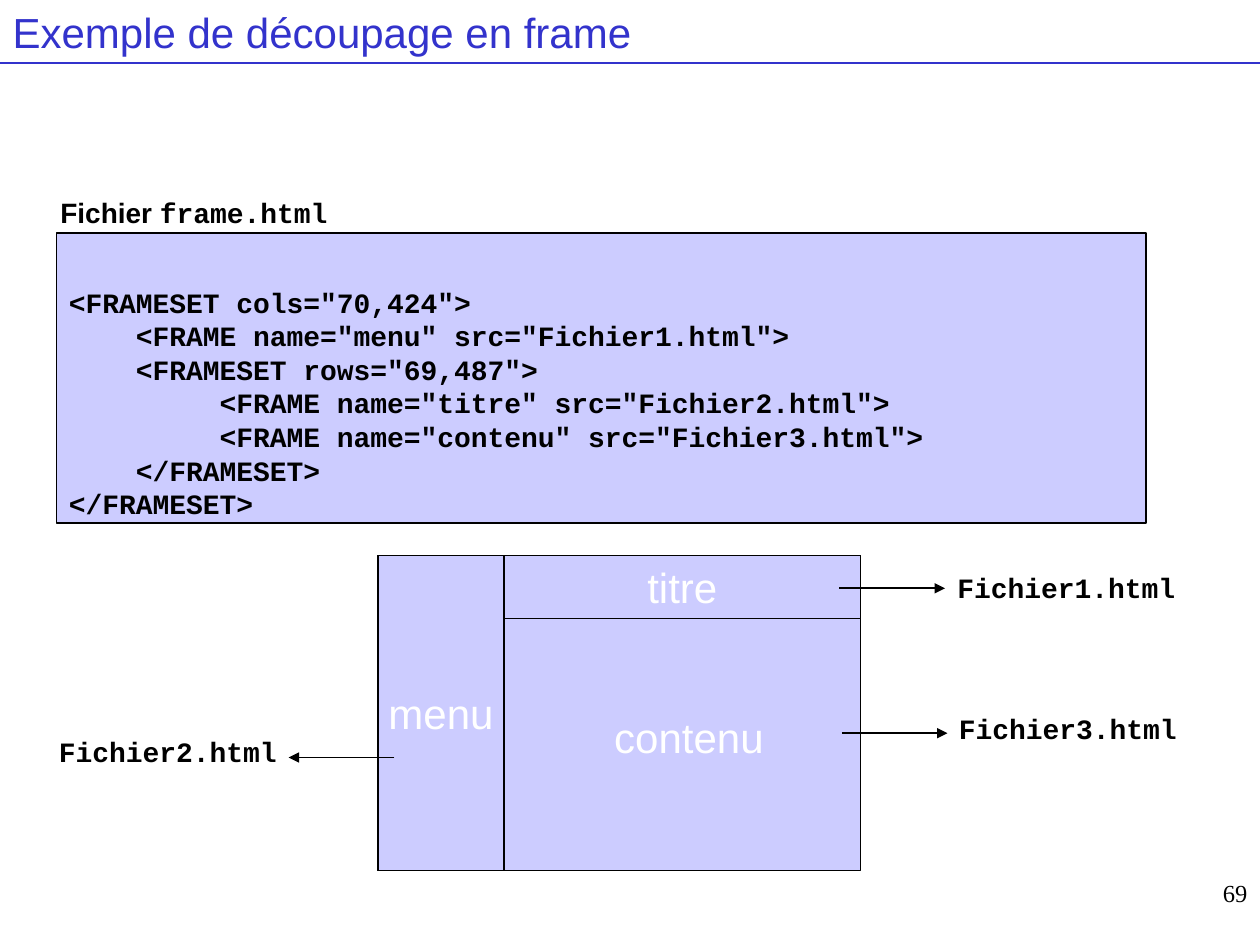
from dataclasses import dataclass
from typing import Optional

import pptx
import pptx.dml.color
import pptx.enum.shapes
import pptx.enum.text
import pptx.oxml
import pptx.oxml.ns
import pptx.util

Cm = pptx.util.Cm
Align = pptx.enum.text.PP_ALIGN
Anchor = pptx.enum.text.MSO_ANCHOR


@dataclass(frozen=True)
class Theme:
    title: str = "3333CC"
    panel: str = "CCCCFF"
    ink: str = "000000"
    frame_text: str = "FFFFFF"
    sans: str = "Arial"
    mono: str = "Courier New"
    serif: str = "Times New Roman"
    large: int = 24
    normal: int = 16
    small: int = 14


THEME = Theme()


@dataclass(frozen=True)
class Area:
    left: float
    top: float
    width: float
    height: float

    def lengths(self) -> tuple:
        return Cm(self.left), Cm(self.top), Cm(self.width), Cm(self.height)


@dataclass(frozen=True)
class Frame:
    area: Area
    text: str = ""
    outlined: bool = True


@dataclass(frozen=True)
class FileLink:
    """A file name and the arrow that leads to it from its frame."""
    name: str
    label: Area
    arrow_start: float
    arrow_end: float
    arrow_y: float


SLIDE = Area(0, 0, 25.4, 19.05)
TITLE = Area(0, 0, SLIDE.width, 1.27)
PAGE_NUMBER = Area(20.12, 17.58, 5.28, 1.27)
CAPTION = Area(0.97, 3.81, 5.89, 0.94)
CODE = Area(1.14, 4.7, 21.97, 5.84)
CODE_LINES = [
    '<FRAMESET cols="70,424">',
    '    <FRAME name="menu" src="Fichier1.html">',
    '    <FRAMESET rows="69,487">',
    '         <FRAME name="titre" src="Fichier2.html">',
    '         <FRAME name="contenu" src="Fichier3.html">',
    '    </FRAMESET>',
    '</FRAMESET>',
]

WINDOW = Area(7.62, 11.2, 9.73, 6.35)
MENU_WIDTH = 2.54
TITLE_HEIGHT = 1.27
FRAMES = [
    Frame(WINDOW),
    Frame(Area(WINDOW.left, WINDOW.top, MENU_WIDTH, WINDOW.height), "menu"),
    Frame(Area(WINDOW.left + MENU_WIDTH, WINDOW.top,
               WINDOW.width - MENU_WIDTH, TITLE_HEIGHT), "titre"),
    Frame(Area(12.14, 14.22, 3.5, TITLE_HEIGHT), "contenu", outlined=False),
]
FILE_LINKS = [
    FileLink("Fichier1.html", Area(19.05, 11.38, 4.9, 0.94), 16.92, 19.05, 11.86),
    FileLink("Fichier3.html", Area(19.08, 14.22, 4.9, 0.94), 16.97, 19.1, 14.78),
    FileLink("Fichier2.html", Area(0.94, 14.68, 4.9, 0.94), 7.95, 5.82, 15.27),
]


def rgb(value: str) -> pptx.dml.color.RGBColor:
    return pptx.dml.color.RGBColor.from_string(value)


def set_font(font, name: str, size: int, color: str, bold: bool = False) -> None:
    font.name = name
    font.size = pptx.util.Pt(size)
    font.bold = bold
    font.color.rgb = rgb(color)


def add_panel(slide, area: Area, outlined: bool = True):
    panel = slide.shapes.add_shape(
        pptx.enum.shapes.MSO_SHAPE.RECTANGLE, *area.lengths())
    panel.shadow.inherit = False
    panel.fill.solid()
    panel.fill.fore_color.rgb = rgb(THEME.panel)
    if outlined:
        panel.line.color.rgb = rgb(THEME.ink)
        panel.line.width = pptx.util.Pt(1)
    else:
        panel.line.fill.background()
    return panel


def add_frame(slide, frame: Frame) -> None:
    panel = add_panel(slide, frame.area, frame.outlined)
    if frame.text:
        body = panel.text_frame
        body.word_wrap = False
        body.vertical_anchor = Anchor.MIDDLE
        para = body.paragraphs[0]
        para.text = frame.text
        para.alignment = Align.CENTER
        set_font(para.font, THEME.sans, THEME.large, THEME.frame_text)


def add_label(slide, area: Area, text: str, font: str, size: int,
              bold: bool = True, alignment=Align.LEFT):
    box = slide.shapes.add_textbox(*area.lengths())
    box.text_frame.word_wrap = False
    para = box.text_frame.paragraphs[0]
    para.text = text
    para.alignment = alignment
    set_font(para.font, font, size, THEME.ink, bold)
    return para


def add_line(slide, start: tuple[float, float], end: tuple[float, float],
             color: str, width: float, arrow: Optional[str] = None) -> None:
    line = slide.shapes.add_connector(
        pptx.enum.shapes.MSO_CONNECTOR.STRAIGHT,
        *(Cm(value) for value in (*start, *end)))
    line.line.color.rgb = rgb(color)
    line.line.width = pptx.util.Pt(width)
    properties = line._element.spPr
    if arrow:
        head = pptx.oxml.parse_xml(
            f'<a:tailEnd {pptx.oxml.ns.nsdecls("a")} type="{arrow}"/>')
        line.line._get_or_add_ln().append(head)
    properties.append(pptx.oxml.parse_xml(
        f'<a:effectLst {pptx.oxml.ns.nsdecls("a")}/>'))


def add_title(slide, text: str) -> None:
    title = slide.shapes.title
    title.left, title.top, title.width, title.height = TITLE.lengths()
    title.text_frame.vertical_anchor = Anchor.MIDDLE
    para = title.text_frame.paragraphs[0]
    para.text = text
    para.alignment = Align.LEFT
    set_font(para.font, THEME.sans, THEME.large, THEME.title)
    add_line(slide, (0, TITLE.height), (SLIDE.width, TITLE.height),
             THEME.title, 0.75)


def add_code(slide) -> None:
    body = add_panel(slide, CODE).text_frame
    body.word_wrap = True
    body.vertical_anchor = Anchor.TOP
    body.margin_top = Cm(1.05)
    body.text = "\n".join(CODE_LINES)
    for para in body.paragraphs:
        para.alignment = Align.LEFT
        set_font(para.font, THEME.mono, THEME.normal, THEME.ink, bold=True)


def main() -> None:
    deck = pptx.Presentation()
    deck.slide_width, deck.slide_height = Cm(SLIDE.width), Cm(SLIDE.height)
    slide = deck.slides.add_slide(deck.slide_layouts.get_by_name("Title Only"))

    add_title(slide, "Exemple de découpage en frame")
    caption = add_label(slide, CAPTION, "Fichier ", THEME.sans, THEME.normal)
    file_name = caption.add_run()
    file_name.text = "frame.html"
    file_name.font.name = THEME.mono
    add_code(slide)

    for frame in FRAMES:
        add_frame(slide, frame)
    for link in FILE_LINKS:
        add_label(slide, link.label, link.name, THEME.mono, THEME.normal)
        add_line(slide, (link.arrow_start, link.arrow_y),
                 (link.arrow_end, link.arrow_y), THEME.ink, 1, "triangle")

    add_label(slide, PAGE_NUMBER, "69", THEME.serif, THEME.small,
              bold=False, alignment=Align.RIGHT)
    deck.save("out.pptx")


if __name__ == "__main__":
    main()
